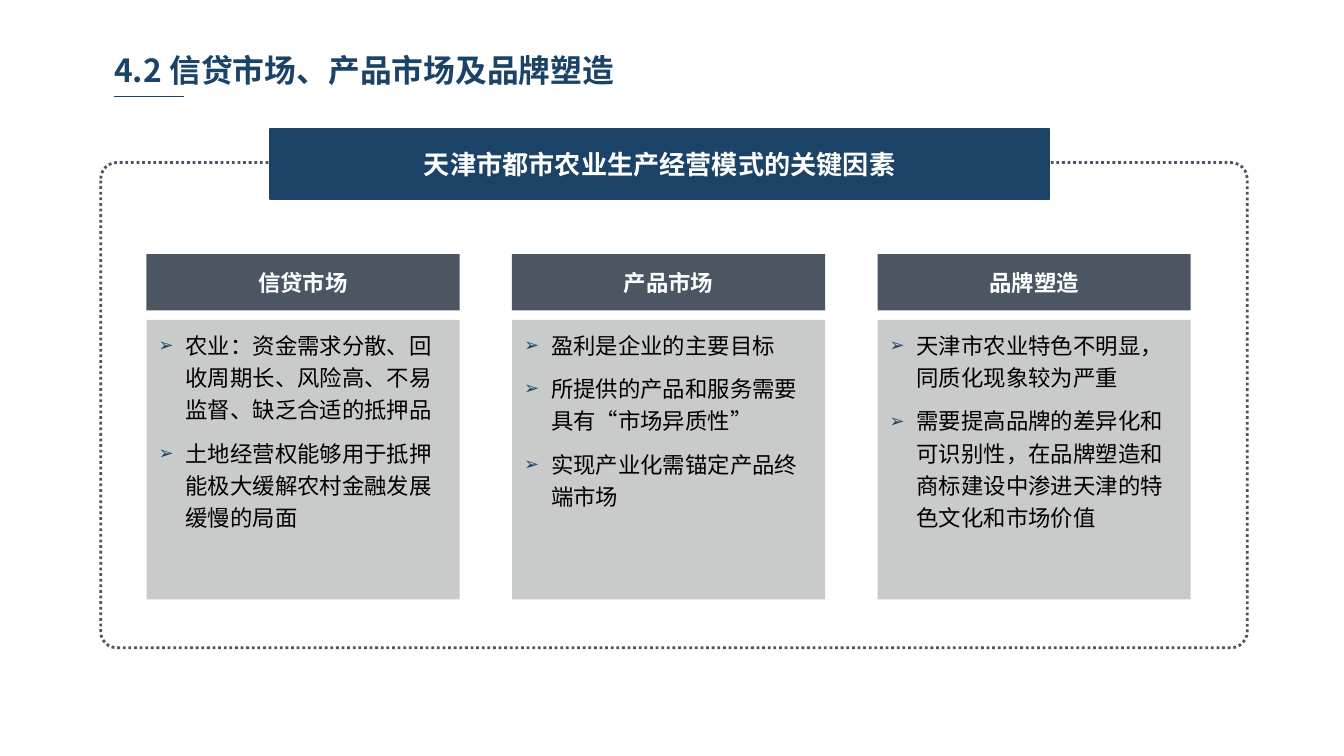
import dataclasses

import pptx
import pptx.dml.color
import pptx.enum.dml
import pptx.enum.shapes
import pptx.enum.text
import pptx.oxml.ns
import pptx.util
from lxml import etree

Inches = pptx.util.Inches
Pt = pptx.util.Pt
SHAPES = pptx.enum.shapes.MSO_SHAPE
ALIGN = pptx.enum.text.PP_ALIGN
ANCHOR = pptx.enum.text.MSO_ANCHOR


@dataclasses.dataclass(frozen=True)
class Theme:
    font: str = "Noto Sans CJK SC"
    navy: str = "1B4367"
    slate: str = "4C5663"
    panel: str = "C9CACA"
    white: str = "FFFFFF"
    black: str = "000000"
    title_size: int = 17
    banner_size: int = 14
    body_size: int = 12


THEME = Theme()

FACTORS = [
    ("信贷市场", [
        "农业：资金需求分散、回收周期长、风险高、不易监督、缺乏合适的抵押品",
        "土地经营权能够用于抵押能极大缓解农村金融发展缓慢的局面",
    ]),
    ("产品市场", [
        "盈利是企业的主要目标",
        "所提供的产品和服务需要具有“市场异质性”",
        "实现产业化需锚定产品终端市场",
    ]),
    ("品牌塑造", [
        "天津市农业特色不明显，同质化现象较为严重",
        "需要提高品牌的差异化和可识别性，在品牌塑造和商标建设中渗进天津的特色文化和市场价值",
    ]),
]
COLUMN_LEFT, COLUMN_STEP, COLUMN_WIDTH = 1.09, 2.72, 2.33


def rgb(color):
    return pptx.dml.color.RGBColor.from_string(color)


def add_xml(parent, tag, **attributes):
    return etree.SubElement(parent, pptx.oxml.ns.qn(tag), attributes)


def place(shape, left, top, width, height):
    shape.left, shape.top = Inches(left), Inches(top)
    shape.width, shape.height = Inches(width), Inches(height)


def paint(shape, color):
    shape.fill.solid()
    shape.fill.fore_color.rgb = rgb(color)


def add_run(paragraph, text, size, color, bold=False):
    run = paragraph.add_run()
    run.text = text
    run.font.size = Pt(size)
    run.font.bold = bold
    run.font.color.rgb = rgb(color)
    run.font.name = THEME.font
    add_xml(run.font._element, "a:ea", typeface=THEME.font)


def set_frame(frame, anchor, side, edge):
    frame.word_wrap = True
    frame.auto_size = pptx.enum.text.MSO_AUTO_SIZE.NONE
    frame.vertical_anchor = anchor
    frame.margin_left = frame.margin_right = Inches(side)
    frame.margin_top = frame.margin_bottom = Inches(edge)


def set_bullet(paragraph):
    properties = paragraph._p.get_or_add_pPr()
    properties.set("marL", str(Inches(0.2)))
    properties.set("indent", str(Inches(-0.2)))
    add_xml(add_xml(properties, "a:buClr"), "a:srgbClr", val=THEME.navy)
    add_xml(properties, "a:buSzPct", val="80000")
    add_xml(properties, "a:buFont", typeface="Arial")
    add_xml(properties, "a:buChar", char="➢")


def fill_title(title, text):
    place(title, 0.78, 0.34, 4.16, 0.36)
    set_frame(title.text_frame, ANCHOR.TOP, 0.07, 0.04)
    heading = title.text_frame.paragraphs[0]
    heading.alignment = ALIGN.LEFT
    add_run(heading, text, THEME.title_size, THEME.navy, bold=True)


def add_title_rule(slide):
    rule = slide.shapes.add_connector(
        pptx.enum.shapes.MSO_CONNECTOR.STRAIGHT,
        Inches(0.85), Inches(0.72), Inches(1.37), Inches(0.72))
    rule.line.color.rgb = rgb(THEME.navy)
    rule.line.width = Pt(0.75)
    add_xml(rule._element.spPr, "a:effectLst")


def add_dotted_frame(slide):
    border = slide.shapes.add_shape(
        SHAPES.ROUNDED_RECTANGLE,
        Inches(0.75), Inches(1.21), Inches(8.53), Inches(3.61))
    border.adjustments[0] = 0.033
    border.shadow.inherit = False
    border.fill.background()
    border.line.color.rgb = rgb(THEME.slate)
    border.line.width = Pt(1.5)
    border.line.dash_style = pptx.enum.dml.MSO_LINE.ROUND_DOT


def add_label(slide, text, box, color, size):
    """Add a filled bar with centred bold text and no outline."""
    label = slide.shapes.add_shape(SHAPES.RECTANGLE, *map(Inches, box))
    label.shadow.inherit = False
    paint(label, color)
    label.line.fill.background()
    set_frame(label.text_frame, ANCHOR.MIDDLE, 0.09, 0.05)
    caption = label.text_frame.paragraphs[0]
    caption.alignment = ALIGN.CENTER
    add_run(caption, text, size, THEME.white, bold=True)
    return label


def fill_list(body, points, left):
    place(body, left, 2.38, COLUMN_WIDTH, 2.08)
    paint(body, THEME.panel)
    frame = body.text_frame
    set_frame(frame, ANCHOR.TOP, 0.09, 0.05)
    for index, point in enumerate(points):
        item = frame.add_paragraph() if index else frame.paragraphs[0]
        item.alignment = ALIGN.LEFT
        item.line_spacing = 1.2
        item.space_before = item.space_after = Pt(3)
        set_bullet(item)
        add_run(item, point, THEME.body_size, THEME.black)


def main():
    deck = pptx.Presentation()
    deck.slide_width = Inches(10)
    deck.slide_height = deck.slide_width * 9 // 16
    comparison_layout = deck.slide_layouts[4]
    slide = deck.slides.add_slide(comparison_layout)
    title, *bodies = slide.placeholders

    fill_title(title, "4.2 信贷市场、产品市场及品牌塑造")
    add_title_rule(slide)
    add_dotted_frame(slide)
    banner = add_label(slide, "天津市都市农业生产经营模式的关键因素",
                       (2.01, 0.96, 5.8, 0.52), THEME.navy, THEME.banner_size)
    banner.line.color.rgb = rgb(THEME.navy)
    banner.line.width = Pt(1)

    for column, (body, (name, points)) in enumerate(zip(bodies, FACTORS)):
        left = COLUMN_LEFT + column * COLUMN_STEP
        add_label(slide, name, (left, 1.89, COLUMN_WIDTH, 0.42),
                  THEME.slate, THEME.body_size)
        fill_list(body, points, left)
    for unused in bodies[len(FACTORS):]:
        unused._element.getparent().remove(unused._element)

    deck.save("out.pptx")


if __name__ == "__main__":
    main()
